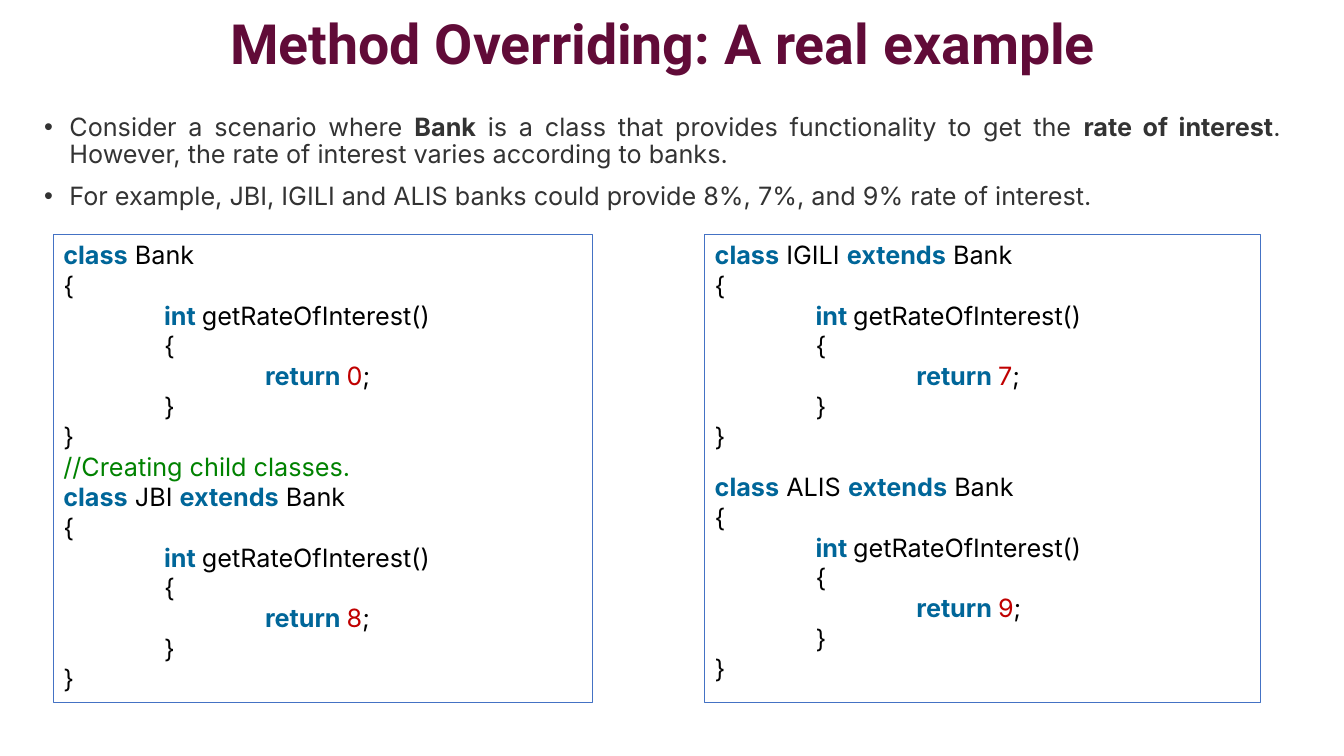
from lxml import etree
from pptx import Presentation
from pptx.dml.color import RGBColor
from pptx.enum.shapes import MSO_SHAPE
from pptx.enum.text import MSO_ANCHOR, MSO_AUTO_SIZE, PP_ALIGN
from pptx.oxml.ns import qn
from pptx.util import Inches, Pt

RECT = MSO_SHAPE.RECTANGLE
TOP, MIDDLE = MSO_ANCHOR.TOP, MSO_ANCHOR.MIDDLE
NO_FIT = MSO_AUTO_SIZE.NONE
CENTER, JUSTIFY = PP_ALIGN.CENTER, PP_ALIGN.JUSTIFY

PLUM = RGBColor(0x61, 0x0B, 0x38)
GRAY = RGBColor(0x33, 0x33, 0x33)
BLACK = RGBColor(0, 0, 0)
BLUE = RGBColor(0x00, 0x66, 0x99)
RED = RGBColor(0xC0, 0, 0)
GREEN = RGBColor(0, 0x82, 0)
BORDER = RGBColor(0x44, 0x72, 0xC4)

BULLETS = [
    [("Consider a scenario where ", False), ("Bank", True),
     (" is a class that provides functionality to get the ", False),
     ("rate of interest", True),
     (". However, the rate of interest varies according to banks.", False)],
    [("For example, JBI, IGILI and ALIS banks could provide "
      "8%, 7%, and 9% rate of interest.", False)],
]


def add_run(para, text, font="Inter", size=18, color=BLACK, bold=False):
    run = para.add_run()
    run.text = text
    run.font.name = font
    run.font.size = Pt(size)
    run.font.color.rgb = color
    run.font.bold = bold


def add_para(frame, first, align=JUSTIFY, before=0, line=1.0):
    para = frame.paragraphs[0] if first else frame.add_paragraph()
    para.alignment = align
    para.space_before = Pt(before)
    para.line_spacing = line
    return para


def set_bullet(para):
    props = para._p.get_or_add_pPr()
    props.set("marL", str(Inches(0.25)))
    props.set("indent", str(-Inches(0.25)))
    font = etree.SubElement(props, qn("a:buFont"))
    font.set("typeface", "Arial")
    etree.SubElement(props, qn("a:buChar")).set("char", "•")


def set_tabs(para):
    para._p.get_or_add_pPr().set("defTabSz", str(Inches(1)))


def set_title(slide, text):
    title = slide.shapes.title
    title.left, title.top = Inches(0.14), Inches(0.09)
    title.width, title.height = Inches(12.87), Inches(0.74)
    frame = title.text_frame
    frame.auto_size = NO_FIT
    frame.vertical_anchor = MIDDLE
    para = add_para(frame, True, align=CENTER, line=0.9)
    add_run(para, text, font="Roboto", size=39.6, color=PLUM, bold=True)


def add_bullets(slide, items):
    box = slide.shapes.add_textbox(
        Inches(0.34), Inches(1.09), Inches(12.46), Inches(1.15))
    frame = box.text_frame
    frame.word_wrap = True
    for i, parts in enumerate(items):
        para = add_para(frame, i == 0, before=10, line=0.9)
        set_bullet(para)
        for text, bold in parts:
            add_run(para, text, color=GRAY, bold=bold)


def key(text):
    return text, BLUE, True


def plain(text, color=BLACK):
    return text, color, False


def class_code(name, rate, child=True):
    """Return the lines of a class, each a list of styled parts."""
    head = [key("class"), plain(f" {name}")]
    if child:
        head += [plain(" "), key("extends"), plain(" Bank")]
    return [
        head,
        [plain("{")],
        [key("\tint "), plain("getRateOfInterest()")],
        [plain("\t{")],
        [plain("\t\t"), key("return "), plain(rate, RED), plain(";")],
        [plain("\t}")],
        [plain("}")],
    ]


def add_code(slide, left, width, blocks, gap=0):
    """Draw a bordered box of code, with a gap in points between blocks."""
    box = slide.shapes.add_shape(
        RECT, Inches(left), Inches(2.33), Inches(width), Inches(4.64))
    box.shadow.inherit = False
    box.fill.background()
    box.line.color.rgb = BORDER
    box.line.width = Pt(0.75)
    frame = box.text_frame
    frame.word_wrap = True
    frame.vertical_anchor = TOP
    for i, block in enumerate(blocks):
        for j, parts in enumerate(block):
            before = gap if i and not j else 0
            para = add_para(frame, i + j == 0, before=before)
            set_tabs(para)
            for text, color, bold in parts:
                add_run(para, text, color=color, bold=bold)


def main():
    deck = Presentation()
    deck.slide_width, deck.slide_height = Inches(13.33), Inches(7.5)
    slide = deck.slides.add_slide(deck.slide_layouts[5])
    set_title(slide, "Method Overriding: A real example")
    add_bullets(slide, BULLETS)
    note = [[plain("//Creating child classes.", GREEN)]]
    add_code(slide, 0.53, 5.35,
             [class_code("Bank", "0", child=False), note,
              class_code("JBI", "8")])
    add_code(slide, 6.99, 5.51,
             [class_code("IGILI", "7"), class_code("ALIS", "9")], gap=14.5)
    deck.save("out.pptx")


if __name__ == "__main__":
    main()
